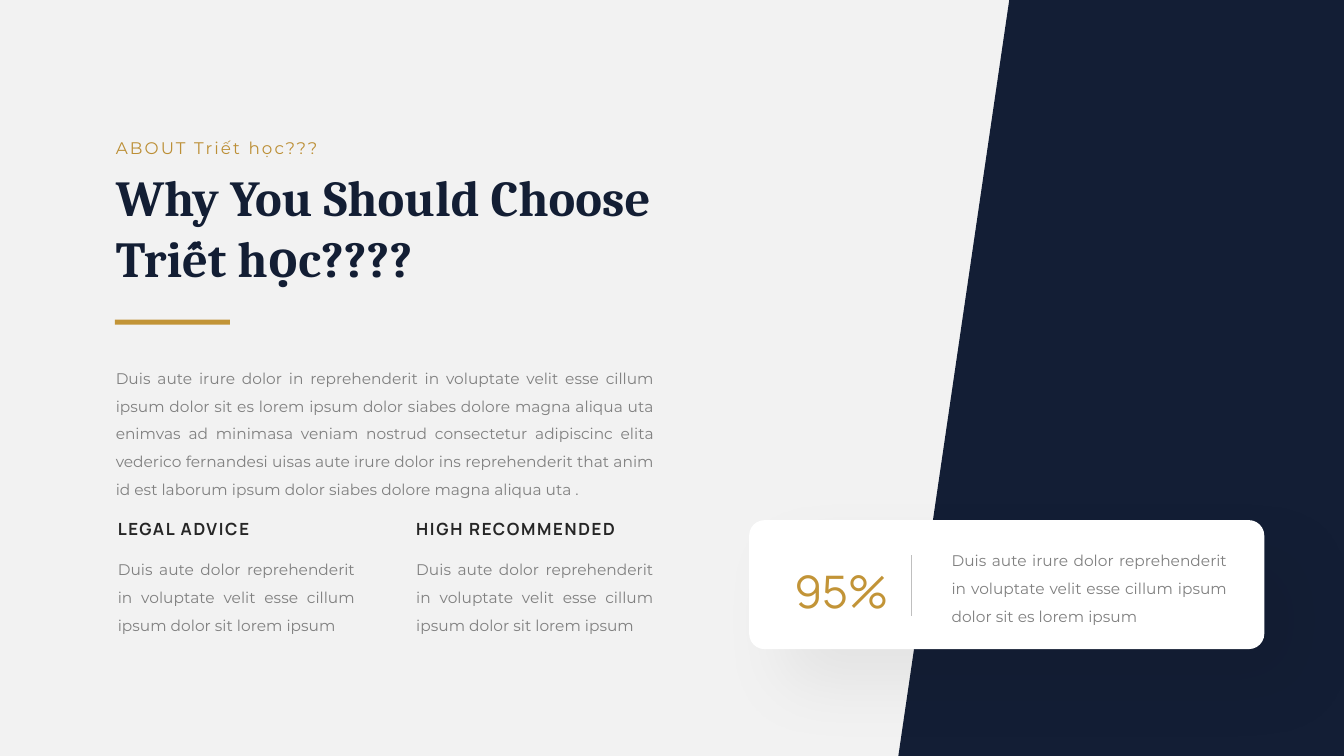
from lxml import etree
from pptx import Presentation
from pptx.dml.color import RGBColor
from pptx.enum.shapes import MSO_CONNECTOR, MSO_SHAPE
from pptx.enum.text import MSO_AUTO_SIZE as AUTO, PP_ALIGN
from pptx.oxml.ns import qn
from pptx.util import Inches, Pt

# Content
EYEBROW = "ABOUT Triết học???"
TITLE = "Why You Should Choose Triết học????"
INTRO = ("Duis aute irure dolor in reprehenderit in voluptate velit esse cillum "
         "ipsum dolor sit es lorem ipsum dolor siabes dolore magna aliqua uta "
         "enimvas ad minimasa veniam nostrud consectetur adipiscinc elita "
         "vederico fernandesi uisas aute irure dolor ins reprehenderit that anim "
         "id est laborum ipsum dolor siabes dolore magna aliqua uta .")
FEATURE_TEXT = ("Duis aute dolor reprehenderit in voluptate velit esse cillum "
                "ipsum dolor sit lorem ipsum")
FEATURES = [("LEGAL ADVICE", 1.58), ("HIGH RECOMMENDED", 2.25)]  # heading, width
STAT = "95%"
STAT_TEXT = ("Duis aute irure dolor reprehenderit in voluptate velit esse cillum "
             "ipsum dolor sit es lorem ipsum")

COLORS = {
    "background": "F2F2F2", "panel": "131E35", "title": "131E34",
    "gold": "C29437", "eyebrow": "BC8F36", "heading": "262626",
    "body": "808080", "card": "FFFFFF", "divider": "BFBFBF", "shadow": "000000",
}
WIDTH, HEIGHT = 13.33, 7.5
LEFT = 1.05
COLUMN_W = 5.54
FEATURE_LEFT, FEATURE_STEP = 1.07, 2.96


def rgb(name):
    return RGBColor.from_string(COLORS[name])


def paint(sp, color):
    sp.shadow.inherit = False
    sp.fill.solid()
    sp.fill.fore_color.rgb = rgb(color)
    sp.line.fill.background()


def add_text(text, box, size, font, color, bold=False, spacing=0, wrap=True):
    sp = slide.shapes.add_textbox(*map(Inches, box))
    tf = sp.text_frame
    tf.word_wrap = wrap
    tf.auto_size = AUTO.SHAPE_TO_FIT_TEXT
    tf.text = text
    p = tf.paragraphs[0]
    r = p.runs[0]
    r.font.size = Pt(size)
    r.font.name = font
    r.font.bold = bold
    r.font.color.rgb = rgb(color)
    if spacing:
        r.font._element.set("spc", str(round(spacing * 100)))
    return p


def add_body(text, box):
    p = add_text(text, box, 11, "Montserrat", "body")
    p.alignment = PP_ALIGN.JUSTIFY
    p.line_spacing = 1.5


def add_soft_shadow(sp, color, alpha, blur, distance, angle):
    effects = sp._element.spPr.find(qn("a:effectLst"))
    shadow = etree.SubElement(
        effects, qn("a:outerShdw"), blurRad=str(Pt(blur)), dist=str(Pt(distance)),
        dir=str(angle * 60000), algn="tl", rotWithShape="0")
    clr = etree.SubElement(shadow, qn("a:srgbClr"), val=COLORS[color])
    etree.SubElement(clr, qn("a:alpha"), val=str(alpha * 1000))


prs = Presentation()
prs.slide_width, prs.slide_height = Inches(WIDTH), Inches(HEIGHT)
slide = prs.slides.add_slide(prs.slide_layouts[6])
slide.background.fill.solid()
slide.background.fill.fore_color.rgb = rgb("background")

# Slanted panel on the right
builder = slide.shapes.build_freeform(Inches(10.01), 0)
builder.add_line_segments(
    [(Inches(x), Inches(y)) for x, y in [(WIDTH, 0), (WIDTH, HEIGHT), (8.91, HEIGHT)]],
    close=True)
paint(builder.convert_to_shape(), "panel")

# Heading block and introduction
add_text(EYEBROW, (LEFT, 1.32, 2.32, 0.3), 12, "Montserrat", "eyebrow",
         spacing=1.5, wrap=False)
add_text(TITLE, (LEFT, 1.6, COLUMN_W, 1.31), 36, "Cambria", "title", bold=True)
rule = slide.shapes.add_shape(MSO_SHAPE.RECTANGLE, *map(Inches, (1.14, 3.17, 1.14, 0.05)))
paint(rule, "gold")
add_body(INTRO, (LEFT, 3.52, COLUMN_W, 1.46))

# Two feature columns
for i, (heading, width) in enumerate(FEATURES):
    x = FEATURE_LEFT + i * FEATURE_STEP
    add_text(heading, (x, 5.1, width, 0.3), 12, "Manrope", "heading",
             bold=True, spacing=1.2, wrap=False)
    add_body(FEATURE_TEXT, (x, 5.42, 2.55, 0.9))

# Statistic card
card = slide.shapes.add_shape(MSO_SHAPE.ROUNDED_RECTANGLE,
                              *map(Inches, (7.43, 5.16, 5.11, 1.28)))
card.adjustments[0] = 0.12
paint(card, "card")
add_soft_shadow(card, "shadow", alpha=6, blur=49, distance=35, angle=45)
add_text(STAT, (7.78, 5.54, 1.25, 0.64), 32, "Manrope", "gold")
divider = slide.shapes.add_connector(MSO_CONNECTOR.STRAIGHT,
                                     *map(Inches, (9.04, 5.51, 9.04, 6.11)))
divider.line.color.rgb = rgb("divider")
divider.line.width = Pt(0.5)
etree.SubElement(divider._element.spPr, qn("a:effectLst"))
add_body(STAT_TEXT, (9.34, 5.33, 2.93, 0.9))

prs.save("out.pptx")
